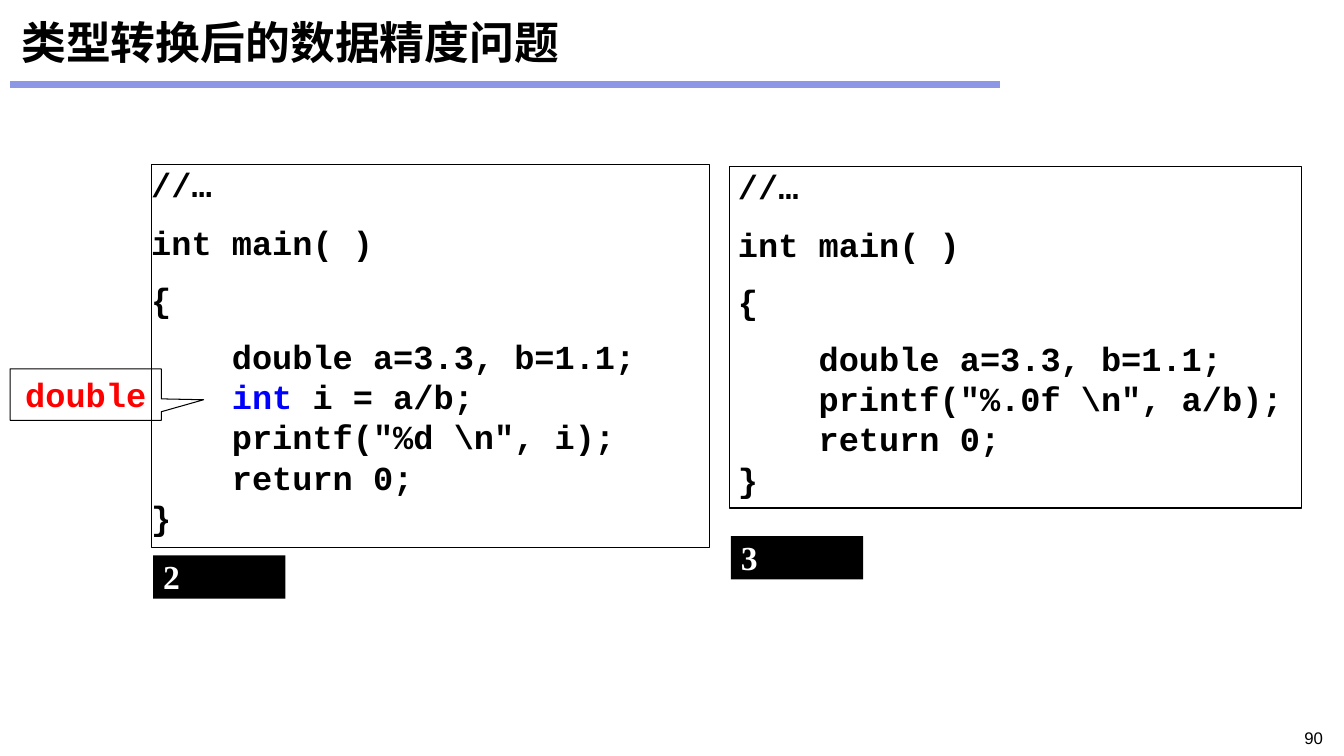
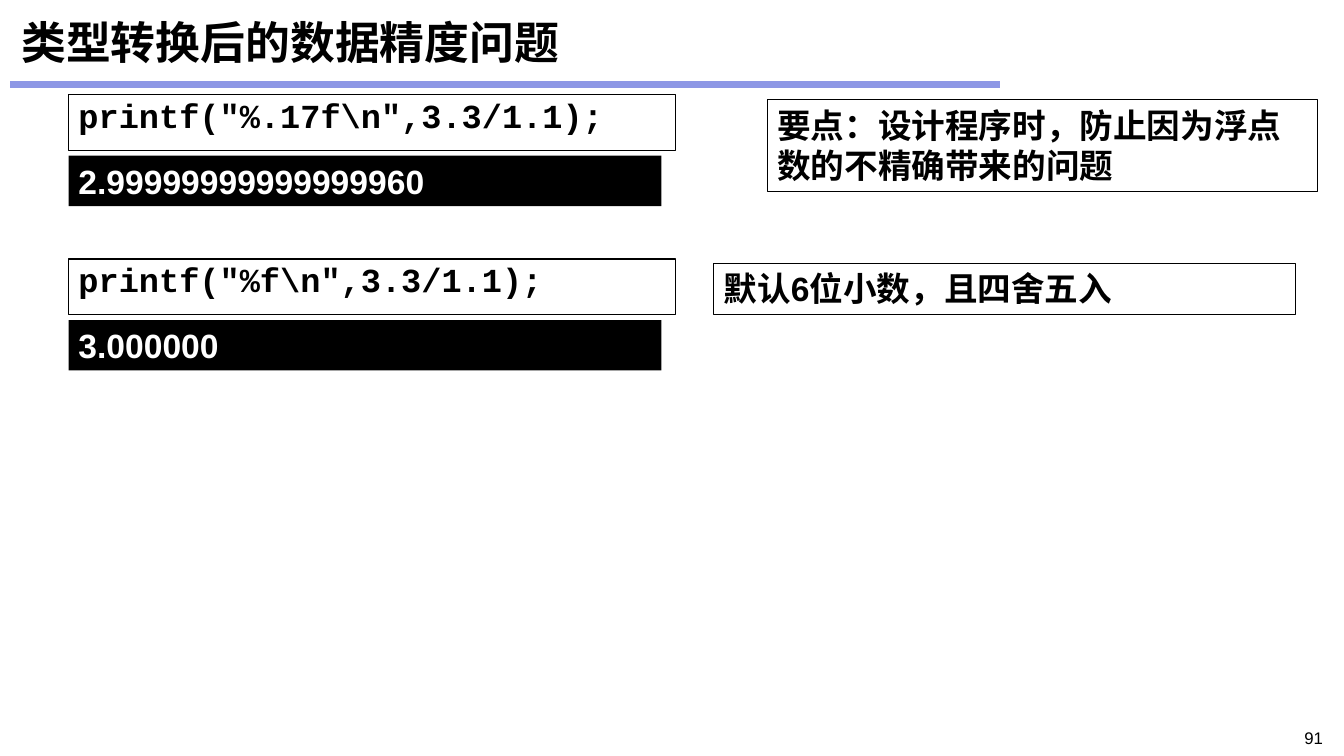
from dataclasses import dataclass

from lxml.etree import SubElement
from pptx import Presentation
from pptx.dml.color import RGBColor
from pptx.enum.shapes import MSO_CONNECTOR, MSO_SHAPE
from pptx.enum.text import MSO_ANCHOR, PP_ALIGN
from pptx.oxml.ns import qn
from pptx.util import Inches, Pt

# Shared look
SLIDE_W, SLIDE_H = Inches(13.33), Inches(7.5)
BLACK, WHITE, RED, BLUE, RULE = "000000", "FFFFFF", "FF0000", "0000FF", "8D97E5"
CJK, MONO, SANS, SERIF = "Noto Sans CJK SC", "Courier New", "Arial", "Times New Roman"
TITLE = "类型转换后的数据精度问题"
TITLE_AREA = (0.83, 1.07, 98.35, 8.93)
CODE_PITCH, CODE_GAP = Pt(28.8), Pt(12)
CODE_INDENT = Pt(57.6)  # four characters


@dataclass
class CodeLine:
    text: str
    level: int = 0
    gap: bool = False
    keyword: str = ""


# Program text
OPENING = [
    CodeLine("//…"),
    CodeLine("int main( )", gap=True),
    CodeLine("{", gap=True),
    CodeLine("double a=3.3, b=1.1;", level=1, gap=True),
]
CLOSING = [CodeLine("return 0;", level=1), CodeLine("}")]
TRUNCATED = [
    CodeLine("i = a/b;", level=1, keyword="int "),
    CodeLine('printf("%d \\n", i);', level=1),
]
ROUNDED = [CodeLine('printf("%.0f \\n", a/b);', level=1)]


def color(hex_value):
    return RGBColor.from_string(hex_value)


def across(percent):
    return round(SLIDE_W * percent / 100)


def down(percent):
    return round(SLIDE_H * percent / 100)


def area(left, top, width, height):
    """Turn percentages of the slide into lengths."""
    return across(left), down(top), across(width), down(height)


def style_run(run, font, ink=BLACK, size=24, bold=True):
    run.font.name, run.font.size, run.font.bold = font, Pt(size), bold
    run.font.color.rgb = color(ink)
    SubElement(run._r.get_or_add_rPr(), qn("a:ea"), typeface=CJK)


def set_insets(frame, side, end):
    frame.margin_left = frame.margin_right = Inches(side)
    frame.margin_top = frame.margin_bottom = Inches(end)


def add_box(slide, place, fill=None, shape=MSO_SHAPE.RECTANGLE, insets=(0.1, 0.05)):
    """Outlined box, or a filled one without outline."""
    box = slide.shapes.add_shape(shape, *area(*place))
    box.shadow.inherit = False
    if fill:
        box.fill.solid()
        box.fill.fore_color.rgb = color(fill)
        box.line.fill.background()
    else:
        box.fill.background()
        box.line.color.rgb = color(BLACK)
        box.line.width = Pt(0.75)
    frame = box.text_frame
    frame.word_wrap = True
    frame.vertical_anchor = MSO_ANCHOR.TOP
    set_insets(frame, *insets)
    return box


def write(box, text, font, ink=BLACK, align=PP_ALIGN.LEFT, spacing=None):
    paragraph = box.text_frame.paragraphs[0]
    paragraph.text = text
    paragraph.alignment = align
    paragraph.line_spacing = spacing
    style_run(paragraph.runs[0], font, ink)


def add_program(slide, place, lines, side_inset):
    frame = add_box(slide, place, insets=(side_inset, 0)).text_frame
    for number, line in enumerate(lines):
        paragraph = frame.add_paragraph() if number else frame.paragraphs[0]
        paragraph.alignment = PP_ALIGN.LEFT
        paragraph.line_spacing = CODE_PITCH
        paragraph.space_before = CODE_GAP if line.gap else Pt(0)
        paragraph._p.get_or_add_pPr().set("marL", str(line.level * CODE_INDENT))
        for text, ink in ((line.keyword, BLUE), (line.text, BLACK)):
            if text:
                run = paragraph.add_run()
                run.text = text
                style_run(run, MONO, ink)


def add_result(slide, left, top, text):
    box = add_box(slide, (left, top, 9.83, 5.73), BLACK, insets=(0.1, 0.01))
    write(box, text, SERIF, WHITE)


def add_callout(slide, place, text):
    callout = add_box(slide, place, shape=MSO_SHAPE.RECTANGULAR_CALLOUT, insets=(0.02, 0.05))
    callout.adjustments[0], callout.adjustments[1] = 0.78, 0.1
    write(callout, text, MONO, RED, PP_ALIGN.CENTER)


def add_statement(slide, top, statement, output):
    """One statement with its console output below."""
    write(add_box(slide, (5.1, top, 45.16, 7.33)), statement, MONO, spacing=0.9)
    write(add_box(slide, (5.1, top + 8.07, 44.11, 6.67), BLACK), output, SANS, WHITE)


def add_note(slide, place, text):
    write(add_box(slide, place), text, SANS)


def add_page(deck, number):
    """Slide with the shared title, rule and page number."""
    slide = deck.slides.add_slide(deck.slide_layouts[5])

    title = slide.shapes.title
    title.left, title.top, title.width, title.height = area(*TITLE_AREA)
    title.text_frame.vertical_anchor = MSO_ANCHOR.MIDDLE
    set_insets(title.text_frame, 0.1, 0.05)
    heading = title.text_frame.paragraphs[0]
    heading.text = TITLE
    heading.alignment = PP_ALIGN.LEFT
    style_run(heading.runs[0], CJK, size=32)

    rule = slide.shapes.add_connector(
        MSO_CONNECTOR.STRAIGHT, across(0.75), down(11.2), across(74.42), down(11.2))
    rule.line.color.rgb = color(RULE)
    rule.line.width = Pt(4.5)
    SubElement(rule._element.spPr, qn("a:effectLst"))

    footer = slide.shapes.add_textbox(*area(89.35, 95.6, 9.83, 3.33)).text_frame
    footer.word_wrap = True
    page = footer.paragraphs[0]
    page.text = str(number)
    page.alignment = PP_ALIGN.RIGHT
    style_run(page.runs[0], SANS, size=12, bold=False)
    return slide


def build_conversion(deck):
    slide = add_page(deck, 90)
    add_program(slide, (11.25, 21.73, 41.56, 50.67), OPENING + TRUNCATED + CLOSING, 0)
    add_result(slide, 11.4, 73.47, "2")
    add_callout(slide, (0.75, 48.8, 11.25, 6.8), "double")
    add_program(slide, (54.31, 22, 42.54, 45.2), OPENING + ROUNDED + CLOSING, 0.08)
    add_result(slide, 54.39, 70.93, "3")


def build_precision(deck):
    slide = add_page(deck, 91)
    examples = [
        ('printf("%.17f\\n",3.3/1.1);', "2.99999999999999960"),
        ('printf("%f\\n",3.3/1.1);', "3.000000"),
    ]
    for row, (statement, output) in enumerate(examples):
        add_statement(slide, 12.53 + row * 21.73, statement, output)
    add_note(slide, (53.11, 34.8, 43.29, 6.8), "默认6位小数，且四舍五入")
    add_note(slide, (57.09, 13.2, 40.96, 12.13), "要点：设计程序时，防止因为浮点数的不精确带来的问题")


def main():
    deck = Presentation()
    deck.slide_width, deck.slide_height = SLIDE_W, SLIDE_H
    build_conversion(deck)
    build_precision(deck)
    deck.save("out.pptx")


if __name__ == "__main__":
    main()
